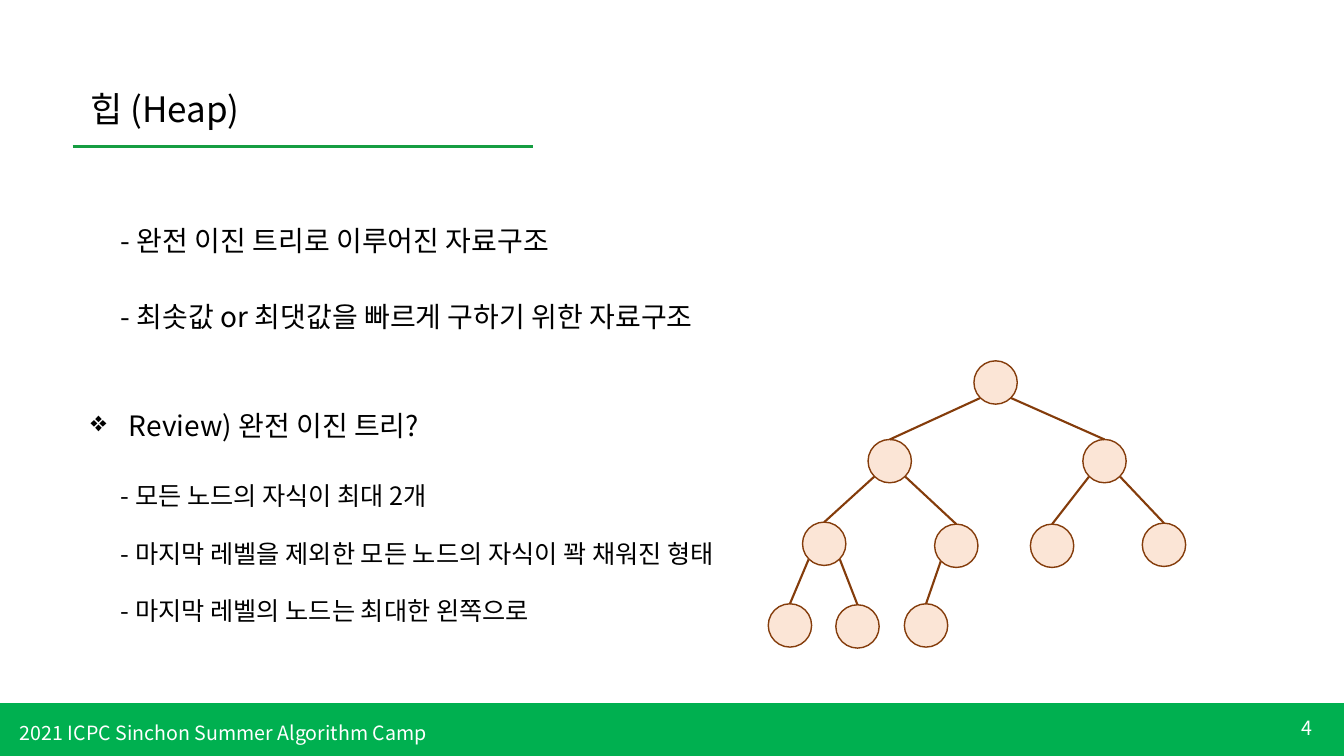
from lxml import etree
from pptx import Presentation
from pptx.dml.color import RGBColor
from pptx.enum.shapes import MSO_CONNECTOR, MSO_SHAPE
from pptx.enum.text import MSO_ANCHOR, MSO_AUTO_SIZE, PP_ALIGN
from pptx.oxml.ns import qn
from pptx.util import Inches, Pt

RECT, OVAL = MSO_SHAPE.RECTANGLE, MSO_SHAPE.OVAL
STRAIGHT = MSO_CONNECTOR.STRAIGHT
TOP, MIDDLE = MSO_ANCHOR.TOP, MSO_ANCHOR.MIDDLE
LEFT, RIGHT = PP_ALIGN.LEFT, PP_ALIGN.RIGHT
GROW, FIXED = MSO_AUTO_SIZE.SHAPE_TO_FIT_TEXT, MSO_AUTO_SIZE.NONE

FONT = "Noto Sans CJK KR"
BLACK = RGBColor(0x00, 0x00, 0x00)
WHITE = RGBColor(0xFF, 0xFF, 0xFF)
GREEN = RGBColor(0x00, 0xB0, 0x50)
RULE = RGBColor(0x15, 0x9D, 0x41)
PEACH = RGBColor(0xFB, 0xE5, 0xD6)
BROWN = RGBColor(0x84, 0x3C, 0x0B)

# Left and top of each tree node, level by level
NODES = [
    (9.66, 3.58),
    (8.61, 4.36), (10.74, 4.36),
    (7.96, 5.18), (9.27, 5.2), (10.22, 5.2), (11.33, 5.19),
    (7.62, 5.99), (8.29, 6), (8.97, 5.99),
]
SIZE = 0.43
INSET = 0.06  # from the node's box to the circle, along the diagonal

# Body lines: left, top, width, height, size, text
LINES = [
    (1.1, 2.17, 6.09, 0.44, 20, "- 완전 이진 트리로 이루어진 자료구조"),
    (1.1, 2.92, 8.9, 0.44, 20, "- 최솟값 or 최댓값을 빠르게 구하기 위한 자료구조"),
    (1.1, 4.72, 6.09, 0.4, 18, "- 모든 노드의 자식이 최대 2개"),
    (1.1, 5.29, 6.54, 0.4, 18, "- 마지막 레벨을 제외한 모든 노드의 자식이 꽉 채워진 형태"),
    (1.1, 5.86, 6.54, 0.4, 18, "- 마지막 레벨의 노드는 최대한 왼쪽으로"),
]


def add_bullet(para, char, indent):
    props = para._p.get_or_add_pPr()
    props.set("marL", str(Inches(indent)))
    props.set("indent", str(-Inches(indent)))
    etree.SubElement(props, qn("a:buChar")).set("char", char)


def add_text(slide, left, top, width, height, size, text, color=BLACK,
             align=LEFT, anchor=TOP, fit=GROW, bullet=None):
    box = slide.shapes.add_textbox(Inches(left), Inches(top),
                                   Inches(width), Inches(height))
    frame = box.text_frame
    frame.word_wrap = True
    frame.auto_size = fit
    frame.vertical_anchor = anchor
    para = frame.paragraphs[0]
    para.text = text
    para.alignment = align
    if bullet:
        add_bullet(para, bullet, 0.38)
    font = para.font
    font.size = Pt(size)
    font.name = FONT
    font.color.rgb = color
    # Korean letters take the East Asian font
    props = para._p.pPr.find(qn("a:defRPr"))
    etree.SubElement(props, qn("a:ea")).set("typeface", FONT)


def add_shape(slide, kind, left, top, width, height, fill, line):
    shape = slide.shapes.add_shape(kind, Inches(left), Inches(top),
                                   Inches(width), Inches(height))
    shape.shadow.inherit = False
    shape.fill.solid()
    shape.fill.fore_color.rgb = fill
    shape.line.color.rgb = line
    shape.line.width = Pt(1)


def add_line(slide, x1, y1, x2, y2, color, width):
    line = slide.shapes.add_connector(STRAIGHT, Inches(x1), Inches(y1),
                                      Inches(x2), Inches(y2))
    line.line.color.rgb = color
    line.line.width = Pt(width)
    etree.SubElement(line._element.spPr, qn("a:effectLst"))


def add_tree(slide):
    for left, top in NODES:
        add_shape(slide, OVAL, left, top, SIZE, SIZE, PEACH, BROWN)
    # Each child's top meets the lower left or right of its parent
    for index, (left, top) in enumerate(NODES[1:], 1):
        px, py = NODES[(index - 1) // 2]
        shift = INSET if index % 2 else SIZE - INSET
        add_line(slide, left + SIZE / 2, top,
                 px + shift, py + SIZE - INSET, BROWN, 1.5)


def main():
    deck = Presentation()
    deck.slide_width, deck.slide_height = Inches(13.33), Inches(7.5)
    slide = deck.slides.add_slide(deck.slide_layouts[6])

    # Footer
    add_shape(slide, RECT, 0, 6.98, 13.33, 0.52, GREEN, GREEN)
    add_text(slide, 12.12, 7.02, 1, 0.4, 14, "4", WHITE, RIGHT, MIDDLE, FIXED)
    add_text(slide, 0.1, 7.1, 5.76, 0.34, 14,
             "2021 ICPC Sinchon Summer Algorithm Camp", WHITE)

    # Title
    add_line(slide, 0.72, 1.45, 5.29, 1.45, RULE, 2.25)
    add_text(slide, 0.8, 0.82, 4.88, 0.52, 25, "힙 (Heap)")

    # Body
    for line in LINES:
        add_text(slide, *line)
    add_text(slide, 0.8, 4, 6.09, 0.44, 20, "Review) 완전 이진 트리?", bullet="❖")

    add_tree(slide)
    deck.save("out.pptx")


if __name__ == "__main__":
    main()
